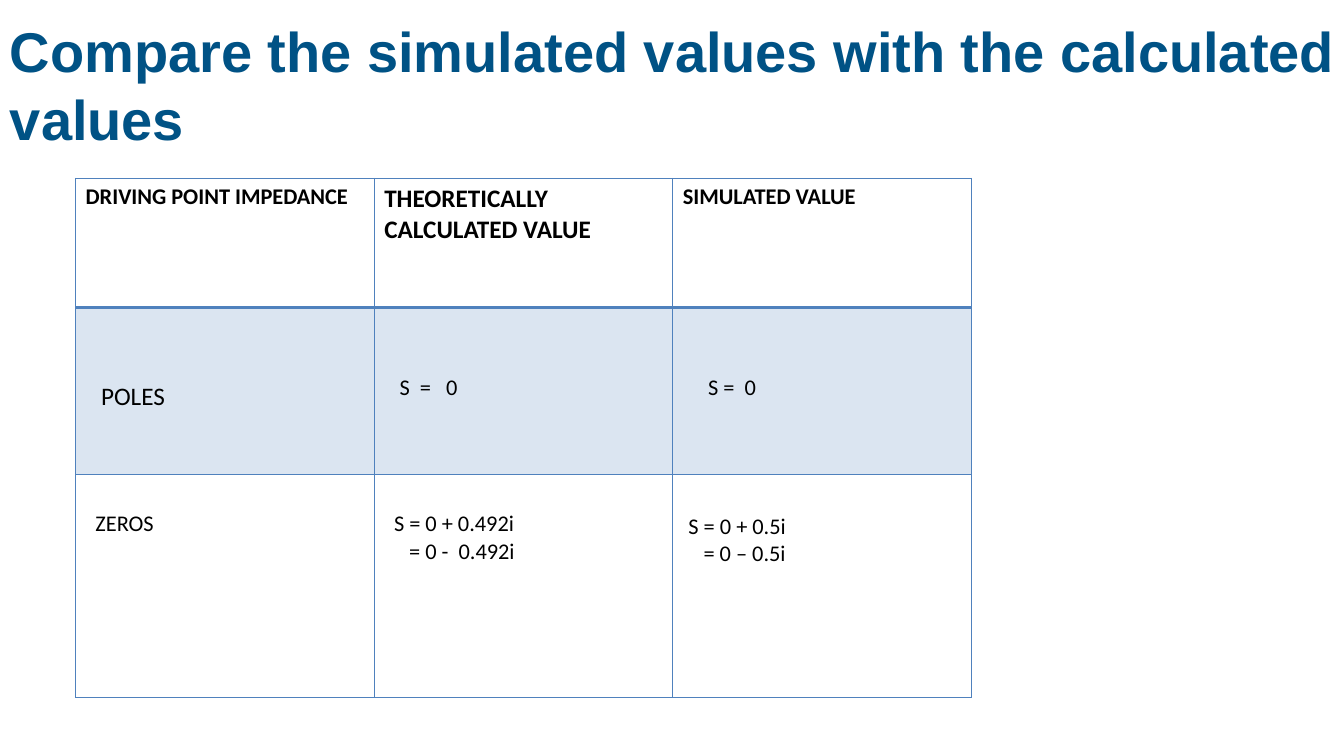
import pptx
import pptx.dml.color
import pptx.oxml
import pptx.oxml.ns
import pptx.util

Pt = pptx.util.Pt
COLORS = {"title": "005285", "text": "000000", "accent": "4F81BD"}


def color(name):
    return pptx.dml.color.RGBColor.from_string(COLORS[name])


def write(para, text, font="Calibri", size=16, bold=False, ink="text", indent=0):
    """Put one formatted span of text into a paragraph."""
    span = para.add_run()
    span.text = text
    span.font.name = font
    span.font.size = Pt(size)
    span.font.bold = bold
    span.font.color.rgb = color(ink)
    if indent:
        para._p.get_or_add_pPr().set("marL", str(Pt(indent)))


class SlideBuilder:
    def __init__(self, page):
        self.page = page

    def title(self, text, left, top, width, height):
        box = self.page.shapes.add_textbox(Pt(left), Pt(top), Pt(width), Pt(height))
        box.text_frame.word_wrap = True
        write(box.text_frame.paragraphs[0], text, font="Arial", size=40, bold=True, ink="title")

    def table(self, left, top, widths, heights):
        frame = self.page.shapes.add_table(
            len(heights), len(widths), Pt(left), Pt(top), Pt(sum(widths)), Pt(sum(heights)))
        for column, width in zip(frame.table.columns, widths):
            column.width = Pt(width)
        for row, height in zip(frame.table.rows, heights):
            row.height = Pt(height)
        return frame.table

    def borders(self, cell, top=1, bottom=1):
        sides = {"lnL": 1, "lnR": 1, "lnT": top, "lnB": bottom}
        for side, weight in sides.items():
            cell._tc.get_or_add_tcPr().append(pptx.oxml.parse_xml(
                f'<a:{side} {pptx.oxml.ns.nsdecls("a")} w="{Pt(weight)}"><a:solidFill>'
                f'<a:srgbClr val="{COLORS["accent"]}"/></a:solidFill></a:{side}>'))

    def tint(self, cell, percent):
        cell.fill.solid()
        cell.fill.fore_color.rgb = color("accent")
        shade = cell._tc.tcPr.find("a:solidFill/a:srgbClr", pptx.oxml.ns._nsmap)
        shade.append(pptx.oxml.parse_xml(
            f'<a:alpha {pptx.oxml.ns.nsdecls("a")} val="{percent * 1000}"/>'))

    def cell_text(self, cell, lines, size, left, top, hang, bold):
        cell.margin_left, cell.margin_top = Pt(7.2 + left), Pt(3.6 + top)
        for number, line in enumerate(lines):
            paras = cell.text_frame.paragraphs
            para = cell.text_frame.add_paragraph() if number else paras[0]
            write(para, line, size=size, bold=bold, indent=hang if number else 0)


# Each cell: lines, text size, extra left margin, extra top margin
ROWS = [
    [(["DRIVING POINT IMPEDANCE"], 16, 0, 0),
     (["THEORETICALLY CALCULATED VALUE"], 18, 0, 0),
     (["SIMULATED VALUE"], 16, 0, 0)],
    [(["POLES"], 18, 11, 49.5),
     (["S  =   0"], 16, 11, 44),
     (["S =  0"], 16, 18, 44)],
    [(["ZEROS"], 16, 7, 22),
     (["S = 0 + 0.492i", "= 0 -  0.492i"], 16, 7, 22),
     (["S = 0 + 0.5i", "= 0 – 0.5i"], 16, 4, 24)],
]


def main():
    deck = pptx.Presentation()
    deck.slide_width, deck.slide_height = Pt(960), Pt(540)
    builder = SlideBuilder(deck.slides.add_slide(deck.slide_layouts[6]))

    # Heading
    builder.title("Compare the simulated values with the calculated values", 0, 8.6, 978, 104.4)

    # Comparison table: heavy rule under the header, tinted row for the poles
    table = builder.table(54, 127.5, [213.3] * 3, [92, 119.5, 159])
    for r, row in enumerate(ROWS):
        for c, (lines, size, left, top) in enumerate(row):
            cell = table.cell(r, c)
            builder.borders(cell, top=2 if r == 1 else 1, bottom=2 if r == 0 else 1)
            if r == 1:
                builder.tint(cell, 20)
            else:
                cell.fill.background()
            builder.cell_text(cell, lines, size, left, top, hang=10.8, bold=r == 0)

    deck.save("out.pptx")


if __name__ == "__main__":
    main()
